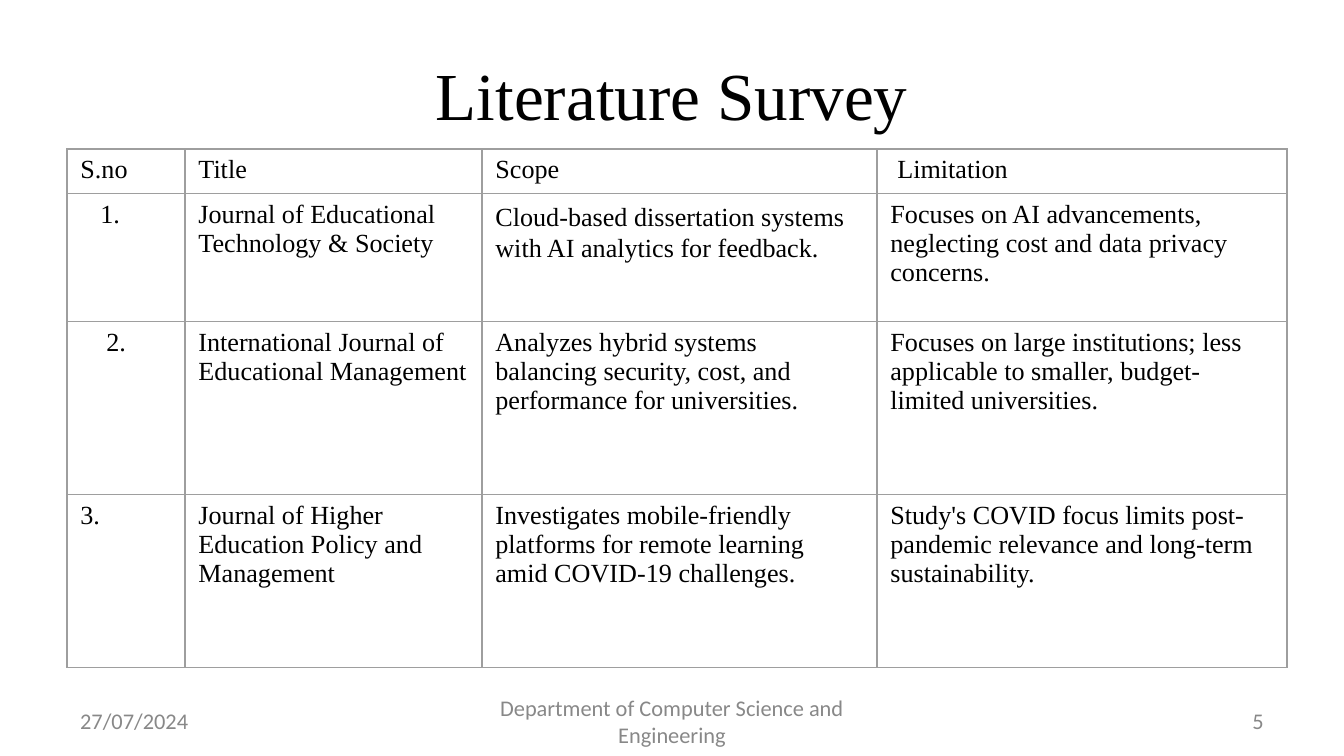
from lxml.etree import SubElement as Sub
from pptx import Presentation
from pptx.dml.color import RGBColor as RGB
from pptx.enum.text import MSO_ANCHOR as Anchor, PP_ALIGN as Align
from pptx.oxml.ns import qn
from pptx.util import Pt

SCALE = 914400 / 134.4
COLORS = {"ink": "000000", "muted": "888888", "rule": "9E9E9E"}
SERIF = {"name": "Times New Roman", "color": "ink"}
TITLE = {**SERIF, "size": Pt(36)}
BODY = {**SERIF, "size": Pt(14)}
FOOT = {"name": "Calibri", "color": "muted", "size": Pt(12)}

COLS = [118, 297, 395, 410]
ROWS = [42, 128, 173, 173]
CELLS = [
    ["S.no", "Title", "Scope", "Limitation"],
    ["1.", "Journal of Educational Technology & Society",
     "Cloud-based dissertation systems with AI analytics for feedback.",
     "Focuses on AI advancements, neglecting cost and data privacy concerns."],
    ["2.", "International Journal of Educational Management",
     "Analyzes hybrid systems balancing security, cost, and performance for universities.",
     "Focuses on large institutions; less applicable to smaller, budget-limited universities."],
    ["3.", "Journal of Higher Education Policy and Management",
     "Investigates mobile-friendly platforms for remote learning amid COVID-19 challenges.",
     "Study's COVID focus limits post-pandemic relevance and long-term sustainability."],
]
# Row and column of the cells whose paragraph differs from the rest
INDENTS = {(0, 3): 7, (1, 0): 20, (2, 0): 26}
FORMATS = {(0, 3): {"alignment": Align.JUSTIFY},
           (1, 2): {"line_spacing": Pt(16.8)}}


def px(n):
    return round(n * SCALE)


def write(frame, text, font, form):
    """Fill a text frame with one styled paragraph and return it."""
    para = frame.paragraphs[0]
    for key, val in form.items():
        setattr(para, key, val)
    run = para.add_run()
    run.text = text
    for key, val in font.items():
        if key == "color":
            run.font.color.rgb = RGB.from_string(COLORS[val])
        else:
            setattr(run.font, key, val)
    return para


def add_text(slide, box, text, font, align):
    frame = slide.shapes.add_textbox(*map(px, box)).text_frame
    frame.word_wrap = True
    frame.vertical_anchor = Anchor.MIDDLE
    write(frame, text, font, {"alignment": align})


def add_rules(cell):
    """Draw the four borders of a cell."""
    props = cell._tc.get_or_add_tcPr()
    for side in ("lnL", "lnR", "lnT", "lnB"):
        line = Sub(props, qn("a:" + side), w=str(Pt(0.75)))
        fill = Sub(line, qn("a:solidFill"))
        Sub(fill, qn("a:srgbClr"), val=COLORS["rule"])


def add_grid(slide, left, top):
    size = map(px, (left, top, sum(COLS), sum(ROWS)))
    table = slide.shapes.add_table(len(ROWS), len(COLS), *size).table
    table.first_row = table.horz_banding = False
    for col, width in zip(table.columns, COLS):
        col.width = px(width)
    for row, height in zip(table.rows, ROWS):
        row.height = px(height)
    for r, line in enumerate(CELLS):
        for c, text in enumerate(line):
            cell = table.cell(r, c)
            add_rules(cell)
            cell.fill.background()
            para = write(cell.text_frame, text, BODY, FORMATS.get((r, c), {}))
            if (r, c) in INDENTS:
                para._p.get_or_add_pPr().set("marL", str(px(INDENTS[r, c])))


def main():
    deck = Presentation()
    deck.slide_width, deck.slide_height = px(1344), px(756)
    slide = deck.slides.add_slide(deck.slide_layouts[6])
    add_text(slide, (67, 31, 1210, 126), "Literature Survey", TITLE, Align.CENTER)
    for left, width, text, align in (
            (67, 314, "27/07/2024", Align.LEFT),
            (459, 426, "Department of Computer Science and Engineering", Align.CENTER),
            (963, 314, "5", Align.RIGHT)):
        add_text(slide, (left, 701, width, 40), text, FOOT, align)
    add_grid(slide, 67, 149)
    deck.save("out.pptx")


if __name__ == "__main__":
    main()
